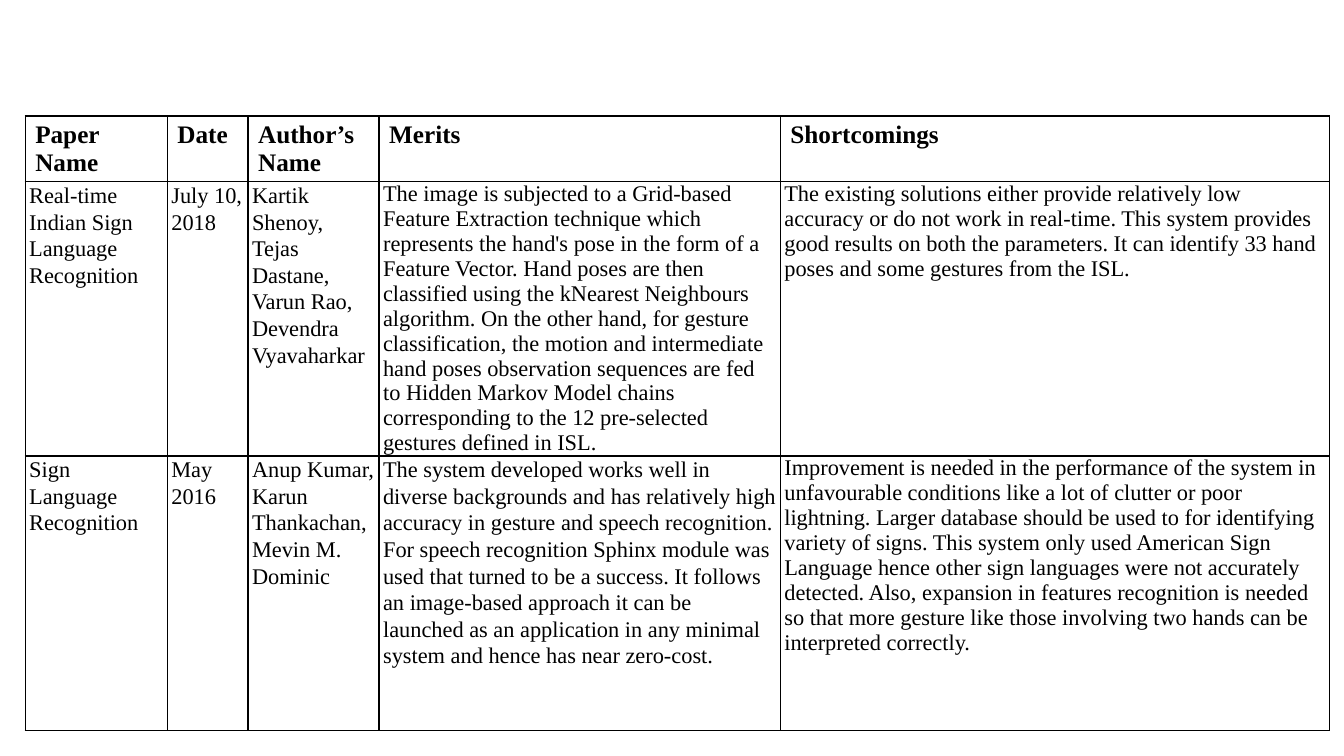
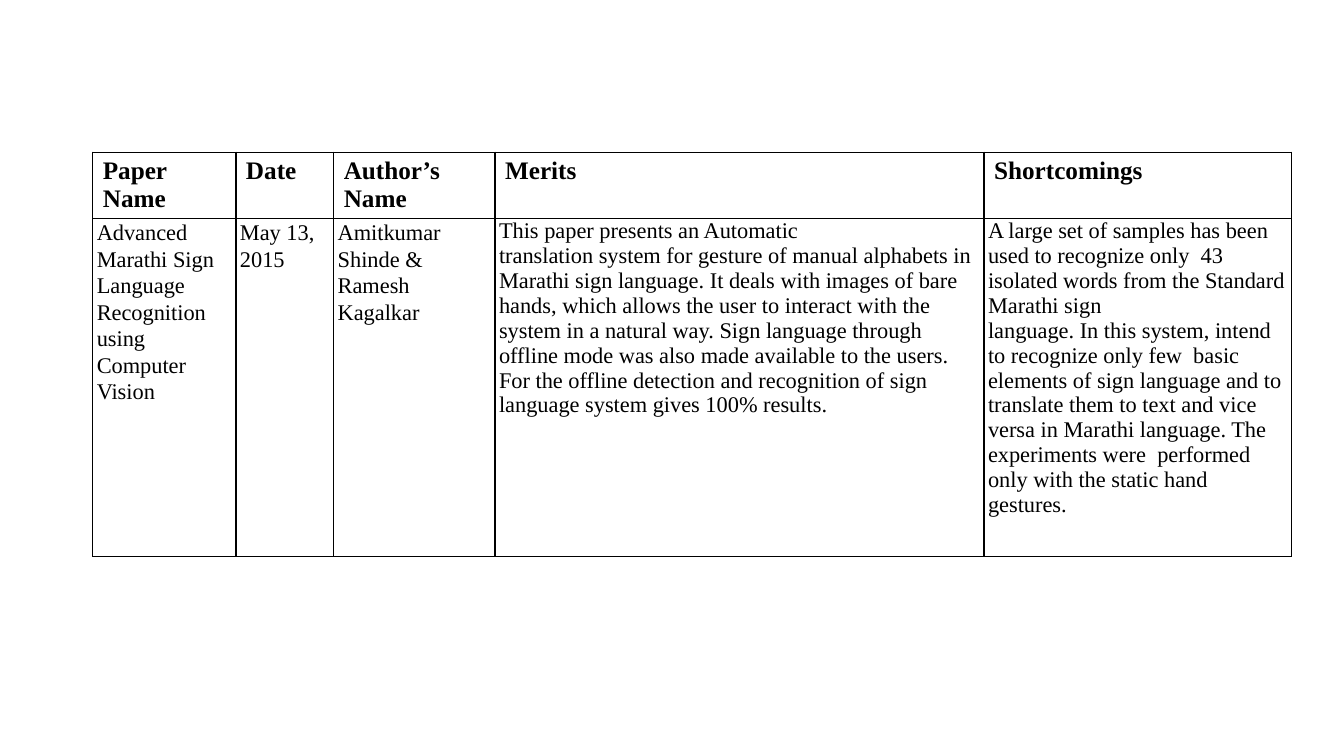
from dataclasses import dataclass

from lxml.etree import SubElement
from pptx import Presentation
from pptx.dml.color import RGBColor
from pptx.oxml.ns import qn
from pptx.presentation import Presentation as Deck
from pptx.table import _Cell
from pptx.util import Inches, Pt


@dataclass(frozen=True)
class Theme:
    font: str = "Times New Roman"
    ink: str = "000000"
    paper: str = "FFFFFF"
    header_size: int = 18
    body_size: int = 16
    border: float = 1
    inset: float = 0.04


@dataclass(frozen=True)
class Paper:
    name: str
    date: str
    authors: str
    merits: str
    shortcomings: str
    loose_columns: int = 3


@dataclass(frozen=True)
class Survey:
    left: float
    top: float
    widths: tuple[float, ...]
    heights: tuple[float, ...]
    papers: tuple[Paper, ...]


THEME = Theme()
HEADERS = ("Paper Name", "Date", "Author’s Name", "Merits", "Shortcomings")
LOOSE = {"line_spacing": 1.07, "space_after": Pt(8)}

SURVEYS = (
    Survey(
        0.25, 1.15, (1.41, 0.8, 1.3, 3.98, 5.45), (0.65, 2.72, 2.72),
        (
            Paper(
                "Real-time Indian Sign Language Recognition",
                "July 10, 2018",
                "Kartik Shenoy, Tejas Dastane, Varun Rao, Devendra Vyavaharkar",
                "The image is subjected to a Grid-based Feature Extraction technique "
                "which represents the hand's pose in the form of a Feature Vector. "
                "Hand poses are then classified using the kNearest Neighbours "
                "algorithm. On the other hand, for gesture classification, the motion "
                "and intermediate hand poses observation sequences are fed to Hidden "
                "Markov Model chains corresponding to the 12 pre-selected gestures "
                "defined in ISL.",
                "The existing solutions either provide relatively low accuracy or do "
                "not work in real-time. This system provides good results on both the "
                "parameters. It can identify 33 hand poses and some gestures from the "
                "ISL.",
            ),
            Paper(
                "Sign Language Recognition",
                "May 2016",
                "Anup Kumar, Karun Thankachan, Mevin M. Dominic",
                "The system developed works well in diverse backgrounds and has "
                "relatively high accuracy in gesture and speech recognition. For "
                "speech recognition Sphinx module was used that turned to be a "
                "success. It follows an image-based approach it can be launched as an "
                "application in any minimal system and hence has near zero-cost.",
                "Improvement is needed in the performance of the system in "
                "unfavourable conditions like a lot of clutter or poor lightning. "
                "Larger database should be used to for identifying variety of signs. "
                "This system only used American Sign Language hence other sign "
                "languages were not accurately detected. Also, expansion in features "
                "recognition is needed so that more gesture like those involving two "
                "hands can be interpreted correctly.",
                loose_columns=4,
            ),
        ),
    ),
    Survey(
        0.92, 1.51, (1.42, 0.97, 1.6, 4.85, 3.05), (0.66, 3.35),
        (
            Paper(
                "Advanced Marathi Sign Language Recognition using Computer Vision",
                "May 13, 2015",
                "Amitkumar Shinde & Ramesh Kagalkar",
                "This paper presents an Automatic\n"
                "translation system for gesture of manual alphabets in Marathi sign "
                "language. It deals with images of bare hands, which allows the user "
                "to interact with the system in a natural way. Sign language through "
                "offline mode was also made available to the users. For the offline "
                "detection and recognition of sign language system gives 100% results.",
                "A large set of samples has been used to recognize only  43 isolated "
                "words from the Standard Marathi sign\n"
                "language. In this system, intend to recognize only few  basic "
                "elements of sign language and to translate them to text and vice "
                "versa in Marathi language. The experiments were  performed only with "
                "the static hand gestures.",
            ),
        ),
    ),
)


def add_borders(cell: _Cell) -> None:
    tc_pr = cell._tc.get_or_add_tcPr()
    for side in ("a:lnL", "a:lnR", "a:lnT", "a:lnB"):
        line = SubElement(tc_pr, qn(side), w=str(Pt(THEME.border)))
        fill = SubElement(line, qn("a:solidFill"))
        SubElement(fill, qn("a:srgbClr"), val=THEME.ink)


def fill_cell(cell: _Cell, text: str, header: bool, loose: bool = False) -> None:
    add_borders(cell)
    cell.fill.solid()
    cell.fill.fore_color.rgb = RGBColor.from_string(THEME.paper)
    if not header:
        cell.margin_left = cell.margin_right = Inches(THEME.inset)
        cell.margin_top = cell.margin_bottom = 0
    size = THEME.header_size if header else THEME.body_size
    font = {"name": THEME.font, "size": Pt(size), "bold": header}
    tf = cell.text_frame
    tf.text = text
    for p in tf.paragraphs:
        for key, value in (LOOSE if loose else {}).items():
            setattr(p, key, value)
        for r in p.runs:
            for key, value in font.items():
                setattr(r.font, key, value)
            r.font.color.rgb = RGBColor.from_string(THEME.ink)


def add_survey(prs: Deck, survey: Survey) -> None:
    s = prs.slides.add_slide(prs.slide_layouts[6])
    table = s.shapes.add_table(
        len(survey.heights), len(survey.widths),
        Inches(survey.left), Inches(survey.top),
        Inches(sum(survey.widths)), Inches(sum(survey.heights)),
    ).table
    table.first_row = table.horz_banding = False
    for column, width in zip(table.columns, survey.widths):
        column.width = Inches(width)
    for row, height in zip(table.rows, survey.heights):
        row.height = Inches(height)
    for col, text in enumerate(HEADERS):
        fill_cell(table.cell(0, col), text, header=True)
    for row, paper in enumerate(survey.papers, start=1):
        texts = (paper.name, paper.date, paper.authors, paper.merits, paper.shortcomings)
        for col, text in enumerate(texts):
            loose = col < paper.loose_columns
            fill_cell(table.cell(row, col), text, header=False, loose=loose)


def main() -> None:
    prs = Presentation()
    prs.slide_width, prs.slide_height = Inches(13.33), Inches(7.5)
    for survey in SURVEYS:
        add_survey(prs, survey)
    prs.save("out.pptx")


if __name__ == "__main__":
    main()
